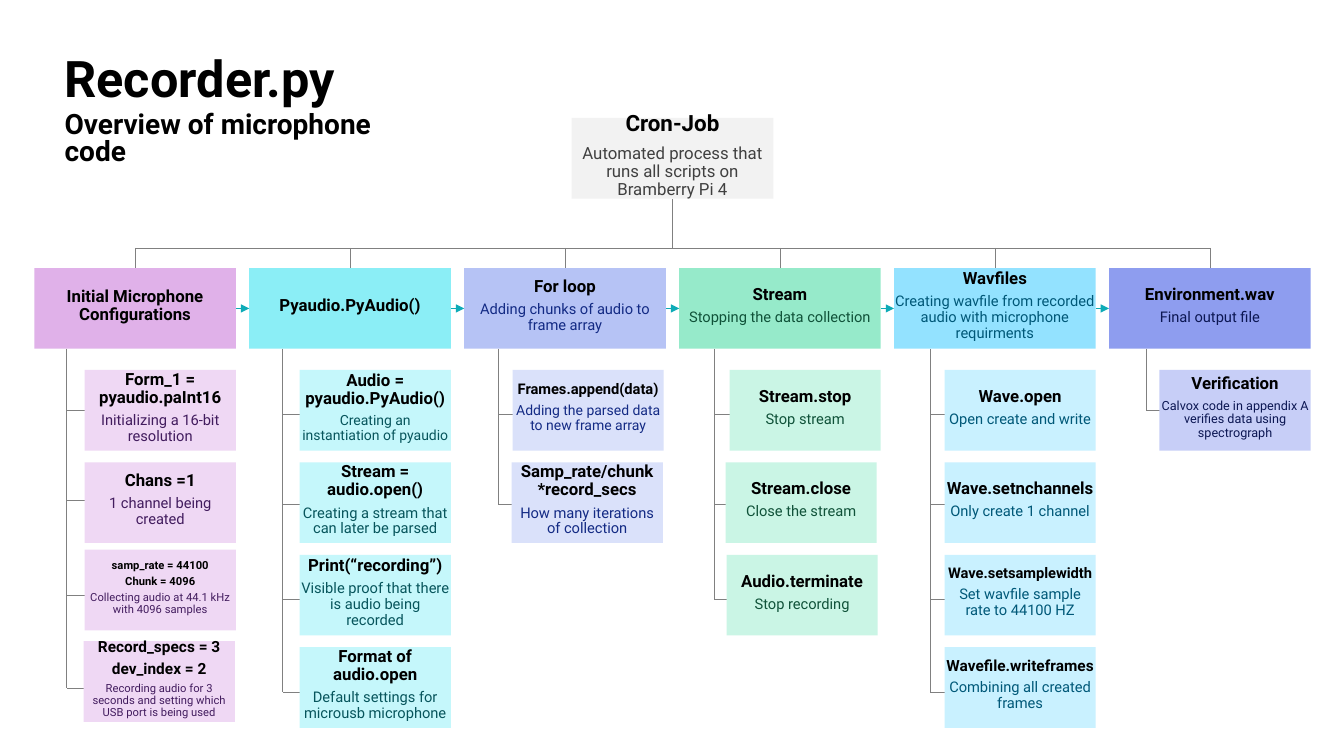
from lxml import etree
from pptx import Presentation
from pptx.dml.color import RGBColor
from pptx.enum.shapes import MSO_CONNECTOR, MSO_SHAPE
from pptx.enum.text import MSO_ANCHOR, MSO_AUTO_SIZE, PP_ALIGN
from pptx.oxml.ns import qn
from pptx.util import Inches, Pt

FONT = "Roboto"
COLORS = {
    "heading": "000000", "line": "808080", "arrow": "0EABB7",
    "cron": "F2F2F2", "cron_note": "404040",
}
STEP_LEFT, STEP_PITCH, STEP_TOP = 0.34, 2.132, 2.66
STEP_WIDTH, CALL_WIDTH, BOX_HEIGHT = 2, 1.5, 0.8
CALL_INDENT, CALL_TOP, CALL_PITCH = 0.5, 3.67, 0.917
TRUNK_LEFT, TRUNK_PITCH, BRANCH_LENGTH = 0.66, 2.142, 0.3
BRANCH_ROWS = [4.11, 5, 5.95, 6.87]
BUS_TOP = 2.46

# Step: heading, note, step fill, call fill, note colour, branch shift, calls
# Call: headings, heading size, note, note size, shift right, shift down
STEPS = [
    ("Initial Microphone Configurations", "", "E0B1E9", "EFD8F4", "421C5E", -0.04, [
        (["Form_1 = pyaudio.paInt16"], 12, "Initializing a 16-bit resolution", 10.5, 0, 0),
        (["Chans =1"], 12, "1 channel being created", 10.5, 0, 0),
        (["samp_rate = 44100", "Chunk = 4096"], 8,
         "Collecting audio at 44.1 kHz with 4096 samples", 8, 0, -0.05),
        (["Record_specs = 3", "dev_index = 2"], 11,
         "Recording audio for 3 seconds and setting which USB port is being used",
         8, -0.01, -0.06),
    ]),
    ("Pyaudio.PyAudio()", "", "8BEEF6", "C5F7FB", "07555C", 0, [
        (["Audio = pyaudio.PyAudio()"], 12, "Creating an instantiation of pyaudio", 10, 0, 0),
        (["Stream = audio.open()"], 12, "Creating a stream that can later be parsed", 10.5, 0, 0),
        (["Print(“recording”)"], 12,
         "Visible proof that there is audio being recorded", 10.5, 0, 0),
        (["Format of audio.open"], 12, "Default settings for microusb microphone", 10.5, 0, 0),
    ]),
    ("For loop", "Adding chunks of audio to frame array", "B6C3F5", "DAE1FA", "132A84", 0, [
        (["Frames.append(data)"], 10.5,
         "Adding the parsed data to new frame array", 10, -0.02, 0),
        (["Samp_rate/chunk *record_secs"], 12,
         "How many iterations of collection", 10.5, -0.03, 0),
    ]),
    ("Stream", "Stopping the data collection", "96EACA", "CAF5E5", "105239", 0, [
        (["Stream.stop"], 12, "Stop stream", 10.5, 0, 0),
        (["Stream.close"], 12, "Close the stream", 10.5, -0.04, 0),
        (["Audio.terminate"], 12, "Stop recording", 10.5, -0.03, 0),
    ]),
    ("Wavfiles", "Creating wavfile from recorded audio with microphone requirments",
     "93E2FF", "C9F1FF", "005878", 0, [
        (["Wave.open"], 12, "Open create and write", 10.5, 0, 0),
        (["Wave.setnchannels"], 12, "Only create 1 channel", 10.5, 0, 0),
        (["Wave.setsamplewidth"], 10.5, "Set wavfile sample rate to 44100 HZ", 10.5, 0, 0),
        (["Wavefile.writeframes"], 11, "Combining all created frames", 10.5, 0, 0),
     ]),
    ("Environment.wav", "Final output file", "8E9DEF", "C7CEF7", "0C1753", -0.04, [
        (["Verification"], 12,
         "Calvox code in appendix A verifies data using spectrograph", 9, 0, 0),
    ]),
]

prs = Presentation()
prs.slide_width, prs.slide_height = Inches(13.33), Inches(7.5)
slide = prs.slides.add_slide(prs.slide_layouts.get_by_name("Comparison"))


def add_box(left, top, width, fill, paragraphs):
    """Add a filled box; paragraphs holds (text, size, colour, bold) entries."""
    box = slide.shapes.add_shape(MSO_SHAPE.RECTANGLE, Inches(left), Inches(top),
                                 Inches(width), Inches(BOX_HEIGHT))
    box.shadow.inherit = False
    box.fill.solid()
    box.fill.fore_color.rgb = RGBColor.from_string(fill)
    box.line.fill.background()
    frame = box.text_frame
    frame.word_wrap = True
    frame.vertical_anchor = MSO_ANCHOR.MIDDLE
    frame.margin_left = frame.margin_right = frame.margin_top = Inches(0.01)
    frame.margin_bottom = Inches(0.06)
    for index, (text, size, color, bold) in enumerate(paragraphs):
        paragraph = frame.add_paragraph() if index else frame.paragraphs[0]
        paragraph.text = text
        paragraph.alignment = PP_ALIGN.CENTER
        paragraph.line_spacing = 0.9
        paragraph.space_after = Pt(0.35 * size)
        paragraph.font.name, paragraph.font.size, paragraph.font.bold = FONT, Pt(size), bold
        paragraph.font.color.rgb = RGBColor.from_string(color)
    return box


def add_line(x1, y1, x2, y2, color="line"):
    line = slide.shapes.add_connector(MSO_CONNECTOR.STRAIGHT, Inches(x1), Inches(y1),
                                      Inches(x2), Inches(y2))
    line.line.color.rgb = RGBColor.from_string(COLORS[color])
    line.line.width = Pt(0.5)
    etree.SubElement(line._element.spPr, qn("a:effectLst"))
    return line


# Title and subtitle
title, subtitle, *unused = slide.placeholders
for placeholder in unused:
    placeholder._element.getparent().remove(placeholder._element)
for placeholder, text, place, size, spacing, before, anchor in [
    (title, "Recorder.py", (0.54, 0.34, 5.73, 0.93), 36, 0.9, 0, MSO_ANCHOR.MIDDLE),
    (subtitle, "Overview of microphone code", (0.54, 1.07, 3.92, 0.4), 20, 0.8, 9,
     MSO_ANCHOR.TOP),
]:
    placeholder.left, placeholder.top, placeholder.width, placeholder.height = map(Inches, place)
    frame = placeholder.text_frame
    frame.text = text
    frame.word_wrap = True
    frame.auto_size = MSO_AUTO_SIZE.NONE
    frame.vertical_anchor = anchor
    paragraph = frame.paragraphs[0]
    paragraph.alignment = PP_ALIGN.LEFT
    paragraph.line_spacing, paragraph.space_before = spacing, Pt(before)
    paragraph.font.name, paragraph.font.size, paragraph.font.bold = FONT, Pt(size), True
    paragraph.font.color.rgb = RGBColor.from_string(COLORS["heading"])

# Cron job above the bus that feeds every step
cron = add_box(5.67, 1.17, STEP_WIDTH, COLORS["cron"], [
    ("Cron-Job", 16, COLORS["heading"], True),
    ("Automated process that runs all scripts on Bramberry Pi 4", 12,
     COLORS["cron_note"], False),
])
add_line(6.67, BUS_TOP, 6.67, 1.97).end_connect(cron, 2)
first_center = STEP_LEFT + STEP_WIDTH / 2
add_line(first_center, BUS_TOP, first_center + STEP_PITCH * (len(STEPS) - 1), BUS_TOP)

# One column per step, with its calls hanging from a trunk
previous_step = None
for column, (heading, note, fill, call_fill, note_color, branch_shift, calls) in enumerate(STEPS):
    left = STEP_LEFT + column * STEP_PITCH
    center = left + STEP_WIDTH / 2
    trunk = TRUNK_LEFT + column * TRUNK_PITCH
    step_text = [(heading, 12, COLORS["heading"], True)]
    if note:
        step_text.append((note, 10.5, note_color, False))
    step = add_box(left, STEP_TOP, STEP_WIDTH, fill, step_text)
    add_line(center, BUS_TOP, center, STEP_TOP).end_connect(step, 0)

    branches = [row + branch_shift for row in BRANCH_ROWS[:len(calls)]]
    add_line(trunk, STEP_TOP + BOX_HEIGHT, trunk, branches[-1])
    for row, (branch, call) in enumerate(zip(branches, calls)):
        names, name_size, call_note, note_size, shift_right, shift_down = call
        add_line(trunk + BRANCH_LENGTH, branch, trunk, branch)
        add_box(left + CALL_INDENT + shift_right, CALL_TOP + row * CALL_PITCH + shift_down,
                CALL_WIDTH, call_fill,
                [(name, name_size, COLORS["heading"], True) for name in names]
                + [(call_note, note_size, note_color, False)])

    if previous_step:
        middle = STEP_TOP + BOX_HEIGHT / 2
        arrow = add_line(left - STEP_PITCH + STEP_WIDTH, middle, left, middle, "arrow")
        arrow.begin_connect(previous_step, 3)
        arrow.end_connect(step, 1)
        etree.SubElement(arrow.line._get_or_add_ln(), qn("a:tailEnd"), type="triangle")
    previous_step = step

prs.save("out.pptx")
